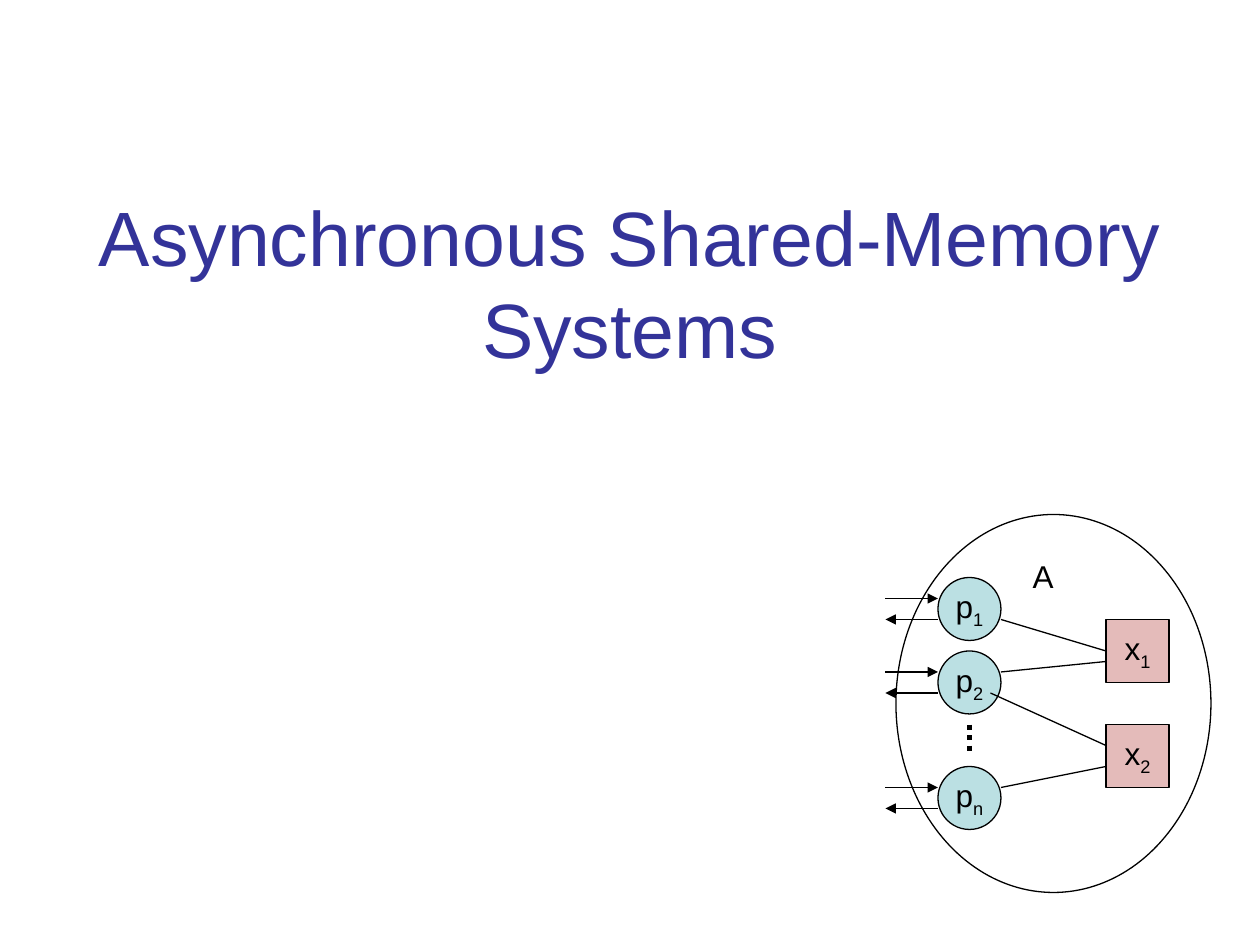
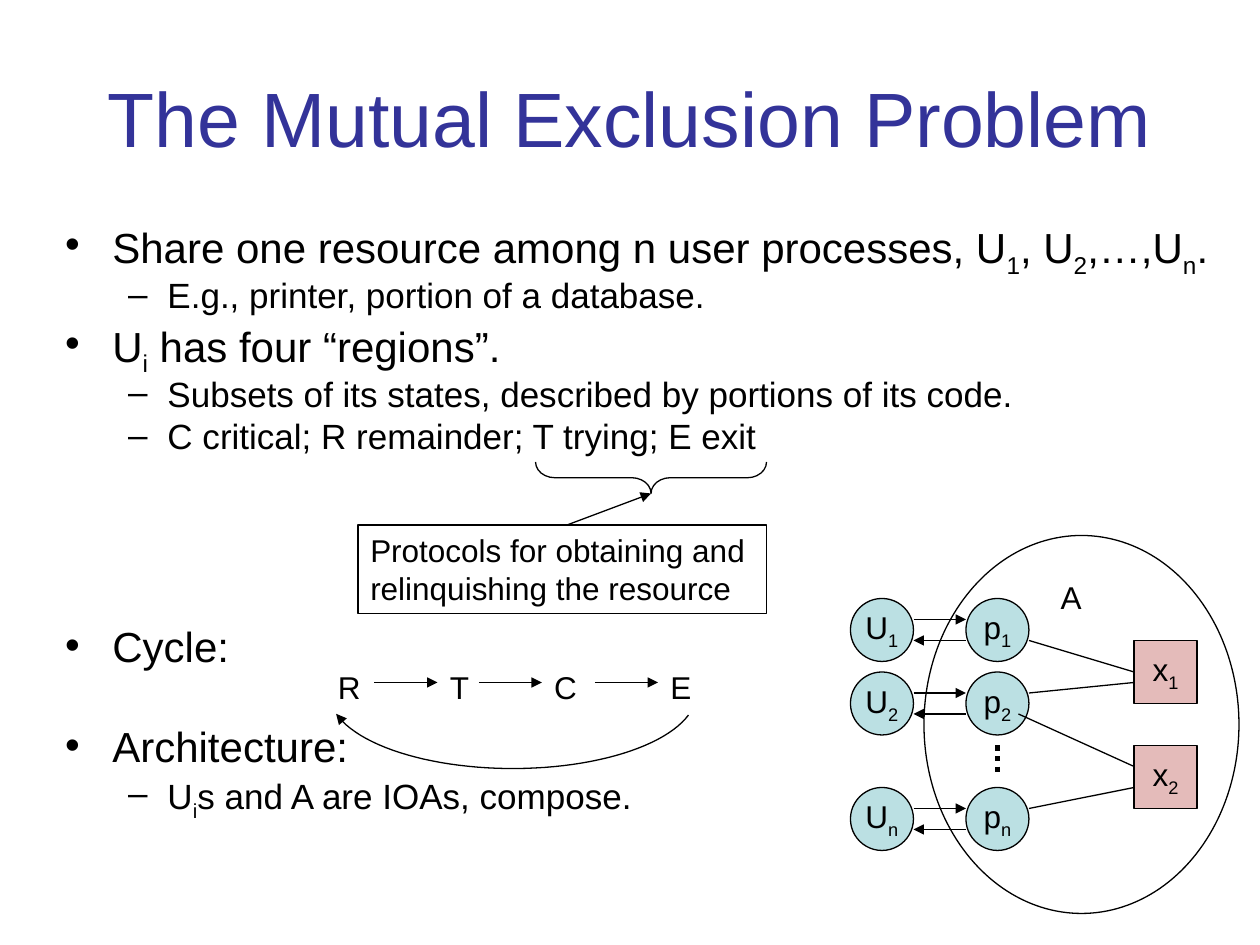
from dataclasses import dataclass
from math import cos, radians, sin

from lxml import etree
from pptx import Presentation
from pptx.dml.color import RGBColor
from pptx.enum.dml import MSO_LINE
from pptx.enum.shapes import MSO_CONNECTOR, MSO_SHAPE
from pptx.enum.text import MSO_ANCHOR, MSO_AUTO_SIZE, PP_ALIGN
from pptx.oxml.ns import qn
from pptx.util import Pt

FONT = "Arial"
BLACK = "000000"
TITLE_BLUE = "333399"
PROCESS_BLUE = "BBE0E3"
VARIABLE_PINK = "E4BBBA"
HAIRLINE = 0.75
LABEL_SIZE = 18
NODE = 36


@dataclass
class Bullet:
    text: str
    level: int = 0
    extra_before: float = 0


@dataclass
class Node:
    label: str
    x: float
    y: float


@dataclass
class Link:
    x1: float
    y1: float
    x2: float
    y2: float


# Positions inside the system are relative to its outer ellipse.
SYSTEM_WIDTH, SYSTEM_HEIGHT = 180, 216
PROCESS_X, VARIABLE_X, USER_X = 24, 120, -42
PROCESS_ROWS = {"1": 36, "2": 78, "n": 144}
VARIABLES = [Node("x_1", VARIABLE_X, 60), Node("x_2", VARIABLE_X, 120)]
ACCESSES = [
    Link(60, 60, VARIABLE_X, 78),
    Link(60, 90, VARIABLE_X, 84),
    Link(54, 102, VARIABLE_X, 132),
    Link(60, 156, VARIABLE_X, 144),
]

MUTEX_POINTS = [
    Bullet("Share one resource among n user processes, U_1, U_2,…,U_n."),
    Bullet("E.g., printer, portion of a database.", 1),
    Bullet("U_i has four “regions”."),
    Bullet("Subsets of its states, described by portions of its code.", 1),
    Bullet("C critical; R remainder; T trying; E exit", 1),
    Bullet("Cycle:", extra_before=93.5),
    Bullet("Architecture:", extra_before=28),
    Bullet("U_is and A are IOAs, compose.", 1),
]
BULLET_SIZES = (24, 20)
BULLET_SPACES = (6, 5)
CYCLE_REGIONS = {"R": 186, "T": 250, "C": 309.6, "E": 376}


def rgb(hex_colour: str) -> RGBColor:
    return RGBColor.from_string(hex_colour)


def format_run(run, size: float, colour: str) -> None:
    run.font.name = FONT
    run.font.size = Pt(size)
    run.font.color.rgb = rgb(colour)


def write(paragraph, marked: str, size: float, colour: str = BLACK) -> None:
    """Write text in which an underscore lowers the next character."""
    head, *pieces = marked.split("_")
    paragraph.text = head
    for piece in pieces:
        subscript = paragraph.add_run()
        subscript.text = piece[0]
        subscript.font._element.set("baseline", "-25000")
        if piece[1:]:
            paragraph.add_run().text = piece[1:]
    for run in paragraph.runs:
        format_run(run, size, colour)


def place(shape, left: float, top: float, width: float, height: float) -> None:
    shape.left, shape.top = Pt(left), Pt(top)
    shape.width, shape.height = Pt(width), Pt(height)


def add_title(slide, text: str, height: float) -> None:
    title = slide.shapes.title
    place(title, 36, 21.6, 648, height)
    frame = title.text_frame
    frame.auto_size = MSO_AUTO_SIZE.NONE
    frame.vertical_anchor = MSO_ANCHOR.MIDDLE
    frame.paragraphs[0].alignment = PP_ALIGN.CENTER
    write(frame.paragraphs[0], text, 44, TITLE_BLUE)


def add_bullets(slide, bullets: list[Bullet]) -> None:
    body = slide.placeholders[1]
    place(body, 30, 126, 672, 384)
    frame = body.text_frame
    frame.auto_size = MSO_AUTO_SIZE.NONE
    frame.text = "\n".join(bullet.text for bullet in bullets)
    for paragraph, bullet in zip(frame.paragraphs, bullets):
        paragraph.level = bullet.level
        paragraph.line_spacing = 0.8
        paragraph.space_before = Pt(BULLET_SPACES[bullet.level] + bullet.extra_before)
        write(paragraph, bullet.text, BULLET_SIZES[bullet.level])


def outline(shape, fill: str | None = None) -> None:
    shape.shadow.inherit = False
    shape.line.color.rgb = rgb(BLACK)
    shape.line.width = Pt(HAIRLINE)
    if fill:
        shape.fill.solid()
        shape.fill.fore_color.rgb = rgb(fill)
    else:
        shape.fill.background()


def add_outlined(slide, kind, left: float, top: float, width: float,
                 height: float, fill: str | None = None):
    shape = slide.shapes.add_shape(kind, Pt(left), Pt(top), Pt(width), Pt(height))
    outline(shape, fill)
    return shape


def add_node(slide, kind, node: Node, origin: tuple[float, float], fill: str) -> None:
    shape = add_outlined(slide, kind, origin[0] + node.x, origin[1] + node.y,
                         NODE, NODE, fill)
    frame = shape.text_frame
    frame.word_wrap = False
    frame.vertical_anchor = MSO_ANCHOR.MIDDLE
    frame.paragraphs[0].alignment = PP_ALIGN.CENTER
    write(frame.paragraphs[0], node.label, LABEL_SIZE)


def add_label(slide, text: str, left: float, top: float) -> None:
    label = slide.shapes.add_textbox(Pt(left), Pt(top), Pt(27), Pt(29))
    label.text_frame.word_wrap = False
    write(label.text_frame.paragraphs[0], text, LABEL_SIZE)


def add_arrowhead(shape) -> None:
    line = shape._element.spPr.find(qn("a:ln"))
    etree.SubElement(line, qn("a:tailEnd"), type="triangle")


def add_link(slide, link: Link, origin: tuple[float, float] = (0, 0),
             arrow: bool = False):
    x, y = origin
    connector = slide.shapes.add_connector(
        MSO_CONNECTOR.STRAIGHT, Pt(x + link.x1), Pt(y + link.y1),
        Pt(x + link.x2), Pt(y + link.y2))
    connector.line.color.rgb = rgb(BLACK)
    connector.line.width = Pt(HAIRLINE)
    if arrow:
        add_arrowhead(connector)
    etree.SubElement(connector._element.spPr, qn("a:effectLst"))
    return connector


def add_system(slide, origin: tuple[float, float], with_users: bool = False) -> None:
    """Draw system A: processes that share variables, and optionally its users."""
    add_outlined(slide, MSO_SHAPE.OVAL, *origin, SYSTEM_WIDTH, SYSTEM_HEIGHT)
    ellipsis = add_link(slide, Link(42, 120, 42, 138), origin)
    ellipsis.line.width = Pt(3)
    ellipsis.line.dash_style = MSO_LINE.ROUND_DOT
    for index, top in PROCESS_ROWS.items():
        add_node(slide, MSO_SHAPE.OVAL, Node(f"p_{index}", PROCESS_X, top),
                 origin, PROCESS_BLUE)
        if with_users:
            add_node(slide, MSO_SHAPE.OVAL, Node(f"U_{index}", USER_X, top),
                     origin, PROCESS_BLUE)
        outside = USER_X + NODE
        add_link(slide, Link(outside, top + 12, PROCESS_X, top + 12), origin, True)
        add_link(slide, Link(PROCESS_X, top + 24, outside, top + 24), origin, True)
    for access in ACCESSES:
        add_link(slide, access, origin)
    for variable in VARIABLES:
        add_node(slide, MSO_SHAPE.RECTANGLE, variable, origin, VARIABLE_PINK)
    add_label(slide, "A", origin[0] + 71, origin[1] + 21)


def add_cycle(slide) -> None:
    for region, left in CYCLE_REGIONS.items():
        add_label(slide, region, left, 378)
    for left in list(CYCLE_REGIONS.values())[1:]:
        add_link(slide, Link(left - 36, 390, left, 390), arrow=True)

    return_path = [(Pt(293 + 105 * cos(radians(angle))),
                    Pt(396 + 43.2 * sin(radians(angle))))
                   for angle in range(17, 165, 3)]
    builder = slide.shapes.build_freeform(*return_path[0])
    builder.add_line_segments(return_path[1:], close=False)
    return_arrow = builder.convert_to_shape()
    outline(return_arrow)
    add_arrowhead(return_arrow)


def add_protocol_note(slide) -> None:
    note = add_outlined(slide, MSO_SHAPE.RECTANGLE, 204.5, 300, 233.5, 50.5)
    frame = note.text_frame
    frame.word_wrap = True
    frame.vertical_anchor = MSO_ANCHOR.TOP
    frame.text = "Protocols for obtaining and\nrelinquishing the resource"
    for paragraph in frame.paragraphs:
        paragraph.alignment = PP_ALIGN.LEFT
        format_run(paragraph.runs[0], LABEL_SIZE, BLACK)
    add_link(slide, Link(324, 300, 372, 282), arrow=True)
    brace = add_outlined(slide, MSO_SHAPE.RIGHT_BRACE, 363, 207, 18, 132)
    brace.rotation = 90
    brace.adjustments[0] = 0.61


def main() -> None:
    presentation = Presentation()
    presentation.slide_width, presentation.slide_height = Pt(720), Pt(540)
    title_only = presentation.slide_layouts.get_by_name("Title Only")
    title_and_content = presentation.slide_layouts.get_by_name("Title and Content")

    opening = presentation.slides.add_slide(title_only)
    add_title(opening, "Asynchronous Shared-Memory Systems", 278.6)
    add_system(opening, (512, 294))

    mutex = presentation.slides.add_slide(title_and_content)
    add_title(mutex, "The Mutual Exclusion Problem", 90)
    add_bullets(mutex, MUTEX_POINTS)
    add_cycle(mutex)
    add_system(mutex, (528, 306), with_users=True)
    add_protocol_note(mutex)

    presentation.save("out.pptx")


if __name__ == "__main__":
    main()
